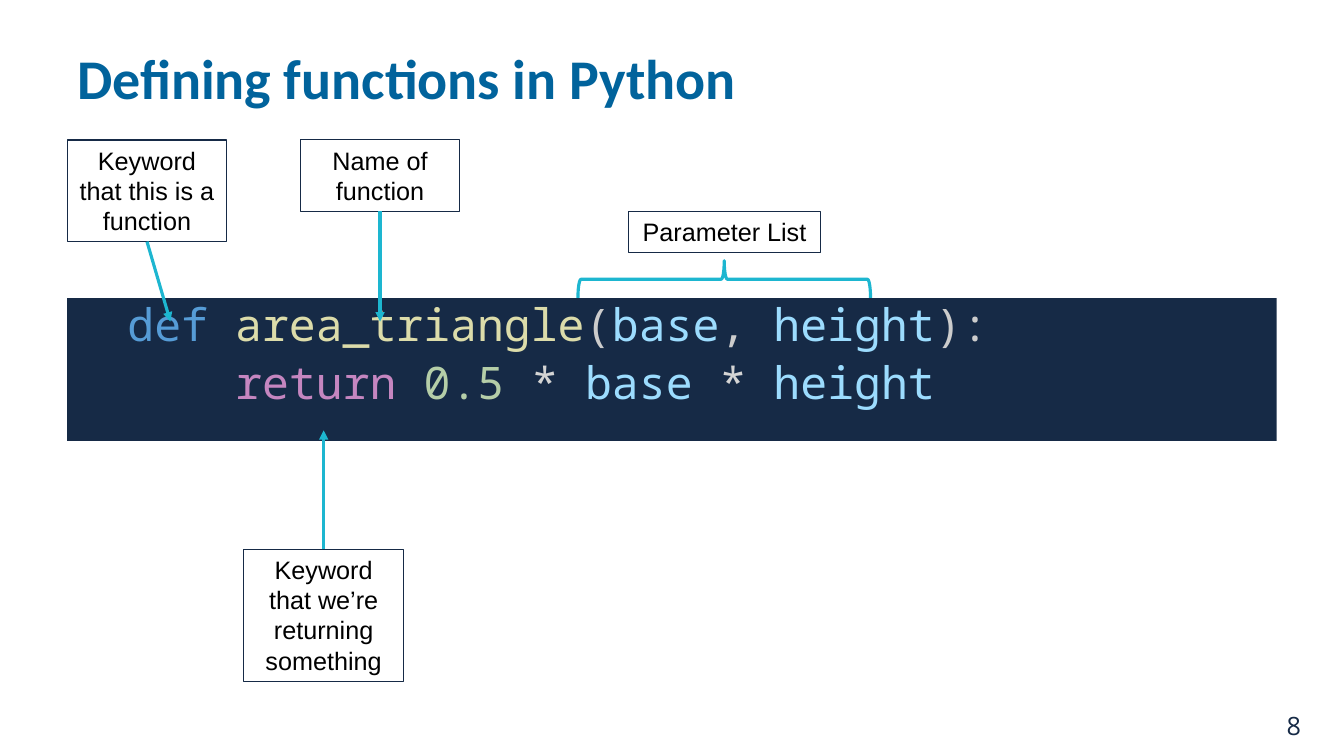
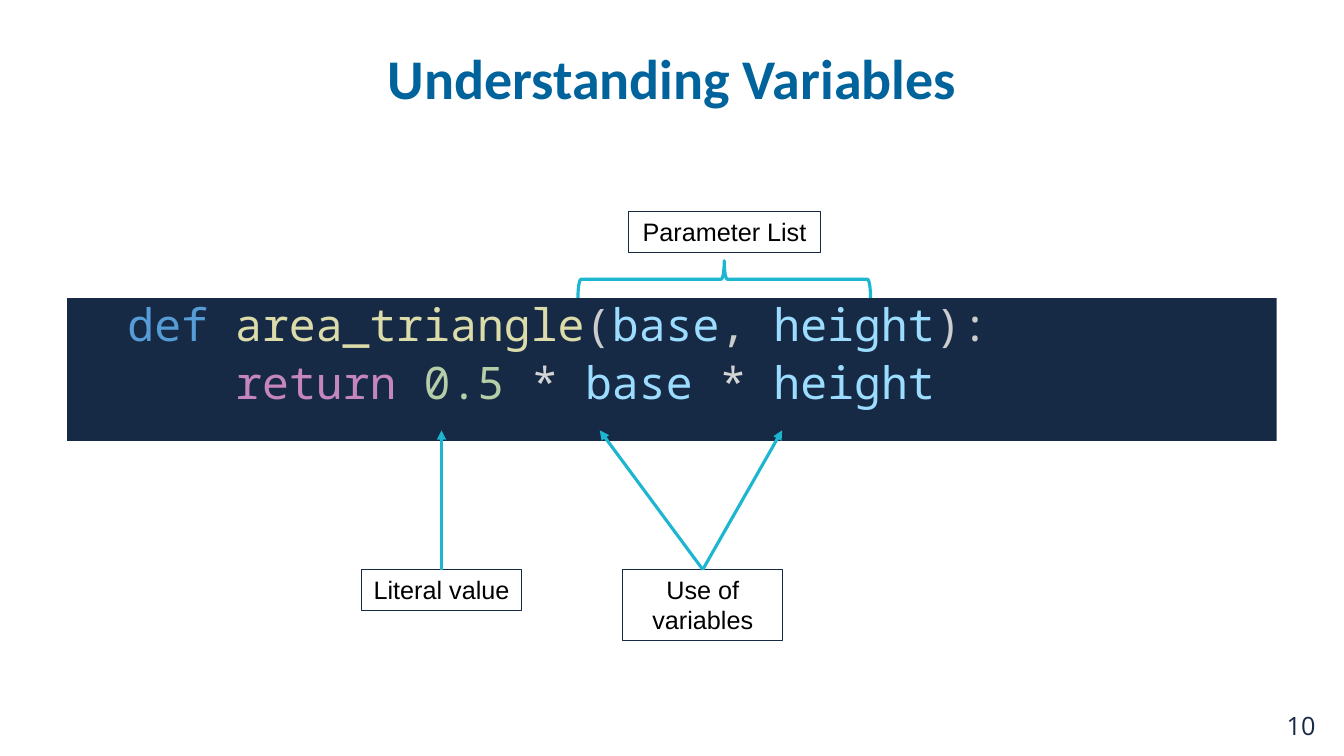
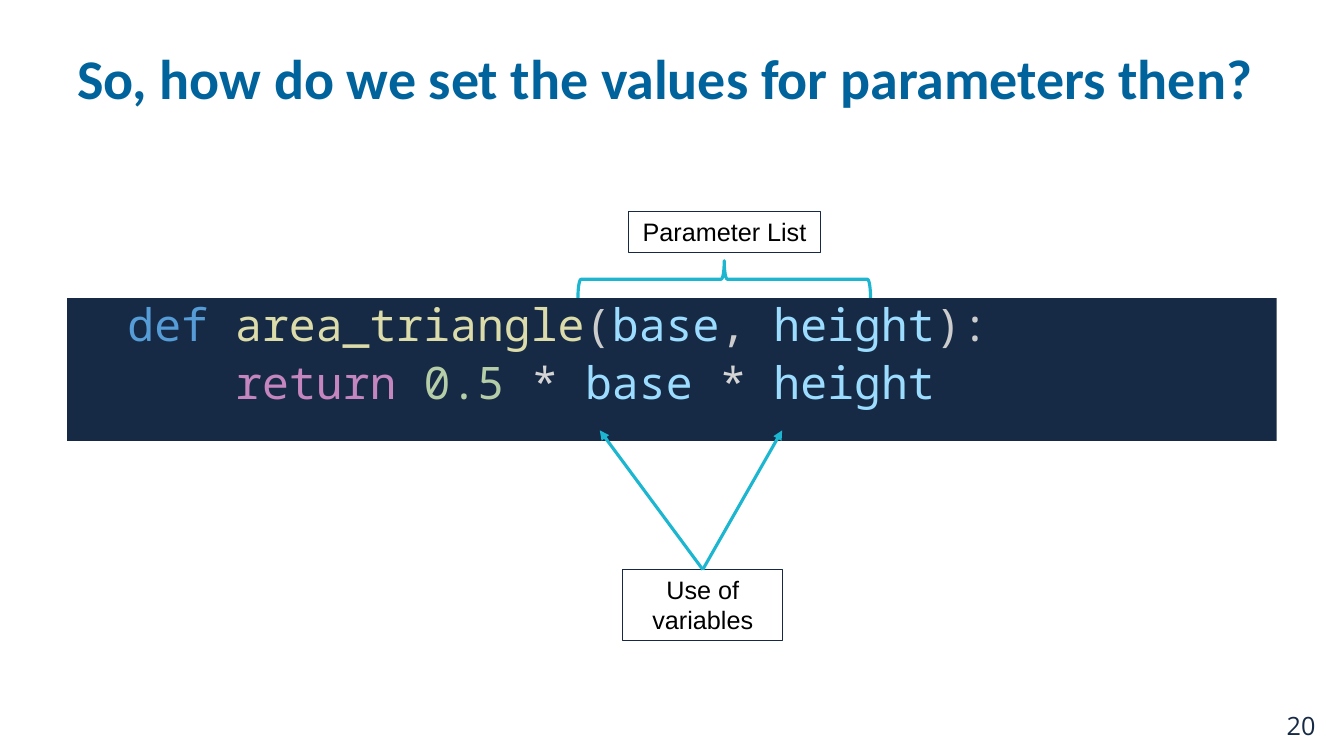
import pptx
import pptx.util
import pptx.dml.color
import pptx.enum.shapes
import pptx.enum.text
import pptx.oxml.ns
from lxml import etree

Pt = pptx.util.Pt
qn = pptx.oxml.ns.qn
SHAPES = pptx.enum.shapes.MSO_SHAPE
ALIGN = pptx.enum.text.PP_ALIGN
ANCHOR = pptx.enum.text.MSO_ANCHOR

COLORS = {
    "navy": "162A46",
    "title": "01639C",
    "accent": "1DB6D0",
    "label": "000000",
    "definition": "569CD6",
    "function": "DCDCAA",
    "punctuation": "CCCCCC",
    "variable": "9CDCFE",
    "control": "C586C0",
    "number": "B5CEA8",
    "operator": "D4D4D4",
}

MARGIN, CONTENT_WIDTH = 48, 864
LABEL_WIDTH = 114
CODE_INDENT, TAB_WIDTH = 36, 77
ABOVE_CODE, BELOW_CODE = 229.7, 307.4  # heights of the arrow tips

# Each line of code: indent level and coloured pieces
CODE = [
    (0, [("def ", "definition"), ("area_triangle", "function"), ("(", "punctuation"),
         ("base", "variable"), (", ", "punctuation"), ("height", "variable"),
         ("):", "punctuation")]),
    (1, [("return ", "control"), ("0.5 ", "number"), ("* ", "operator"),
         ("base ", "variable"), ("* ", "operator"), ("height", "variable")]),
]


def color(name):
    return pptx.dml.color.RGBColor.from_string(COLORS[name])


def write(paragraph, text, *, font, size, fill, bold=False, align=ALIGN.LEFT):
    """Append one formatted run to a paragraph."""
    paragraph.alignment = align
    run = paragraph.add_run()
    run.text = text
    run.font.name = font
    run.font.size = Pt(size)
    run.font.bold = bold
    run.font.color.rgb = color(fill)


class Deck:
    def __init__(self):
        self.presentation = pptx.Presentation()
        self.presentation.slide_width = Pt(960)
        self.presentation.slide_height = Pt(540)
        self.slide = None

    def add_slide(self, title, number, align=ALIGN.LEFT):
        """Start a slide with its title, page number and code block."""
        self.slide = self.presentation.slides.add_slide(self.presentation.slide_layouts[6])
        page = self.text_box(912, 504, 36, 29)
        write(page.text_frame.paragraphs[0], number, font="Open Sans", size=18, fill="navy")
        heading = self.text_box(MARGIN, 4.4, CONTENT_WIDTH, 102)
        heading.text_frame.vertical_anchor = ANCHOR.MIDDLE
        write(heading.text_frame.paragraphs[0], title, font="Calibri", size=40,
              fill="title", bold=True, align=align)
        self.code_block()

    def text_box(self, left, top, width, height):
        shape = self.slide.shapes.add_textbox(Pt(left), Pt(top), Pt(width), Pt(height))
        shape.text_frame.word_wrap = True
        return shape

    def code_block(self):
        block = self.slide.shapes.add_shape(
            SHAPES.RECTANGLE, Pt(MARGIN), Pt(213), Pt(CONTENT_WIDTH), Pt(102))
        block.shadow.inherit = False
        block.fill.solid()
        block.fill.fore_color.rgb = color("navy")
        block.line.fill.background()
        frame = block.text_frame
        frame.word_wrap = True
        frame.vertical_anchor = ANCHOR.TOP
        for index, (level, pieces) in enumerate(CODE):
            paragraph = frame.add_paragraph() if index else frame.paragraphs[0]
            paragraph.space_before = Pt(6.4)
            paragraph.line_spacing = 0.9
            for text, fill in pieces:
                write(paragraph, text, font="Noto Sans Mono", size=32, fill=fill)
            indent = Pt(CODE_INDENT + level * TAB_WIDTH)
            paragraph._p.get_or_add_pPr().set("marL", str(indent))

    def label(self, text, left, top, lines=1, width=LABEL_WIDTH):
        """Outlined caption, as tall as its number of lines."""
        shape = self.text_box(left, top, width, 7.2 + 21.8 * lines)
        shape.text_frame.auto_size = pptx.enum.text.MSO_AUTO_SIZE.SHAPE_TO_FIT_TEXT
        shape.line.color.rgb = color("navy")
        shape.line.width = Pt(0.75)
        write(shape.text_frame.paragraphs[0], text, font="Arial", size=18,
              fill="label", align=ALIGN.CENTER)
        return shape

    def arrow(self, label, side, x, y):
        """Arrow from the middle of a label's side to a point in the code."""
        connector = self.slide.shapes.add_connector(
            pptx.enum.shapes.MSO_CONNECTOR.STRAIGHT, 0, 0, Pt(x), Pt(y))
        connector.begin_connect(label, side)
        connector.line.color.rgb = color("accent")
        connector.line.width = Pt(2.25)
        properties = connector.element.spPr
        etree.SubElement(properties.find(qn("a:ln")), qn("a:tailEnd"), type="triangle")
        etree.SubElement(properties, qn("a:effectLst"))

    def arrow_down(self, label, x):
        self.arrow(label, 2, x, ABOVE_CODE)

    def arrow_up(self, label, x):
        self.arrow(label, 0, x, BELOW_CODE)

    def parameter_list(self):
        brace = self.slide.shapes.add_shape(
            SHAPES.LEFT_BRACE, Pt(504), Pt(95), Pt(26.6), Pt(209))
        brace.rotation = 90
        brace.adjustments[0] = 0.083
        brace.shadow.inherit = False
        brace.fill.background()
        brace.line.color.rgb = color("accent")
        brace.line.width = Pt(2.25)
        self.label("Parameter List", 449, 151.2, width=137)

    def variable_uses(self):
        label = self.label("Use of variables", 445, 406.8, lines=2)
        for x in (428.4, 558.7):
            self.arrow_up(label, x)


def main():
    deck = Deck()

    deck.add_slide("Defining functions in Python", "8")
    keyword = deck.label("Keyword that this is a function", MARGIN, 100, lines=3)
    deck.arrow_down(keyword, 121.7)
    name = deck.label("Name of function", 214.5, 100, lines=2)
    deck.arrow_down(name, 271.5)
    deck.parameter_list()
    returning = deck.label("Keyword that we’re returning something", 174.2, 392.4, lines=4)
    deck.arrow_up(returning, 231.2)

    deck.add_slide("Understanding Variables", "10", align=ALIGN.CENTER)
    deck.parameter_list()
    deck.variable_uses()
    literal = deck.label("Literal value", 258.4, 406.8)
    deck.arrow_up(literal, 315.4)

    deck.add_slide("So, how do we set the values for parameters then?", "20")
    deck.parameter_list()
    deck.variable_uses()

    deck.presentation.save("out.pptx")


if __name__ == "__main__":
    main()
